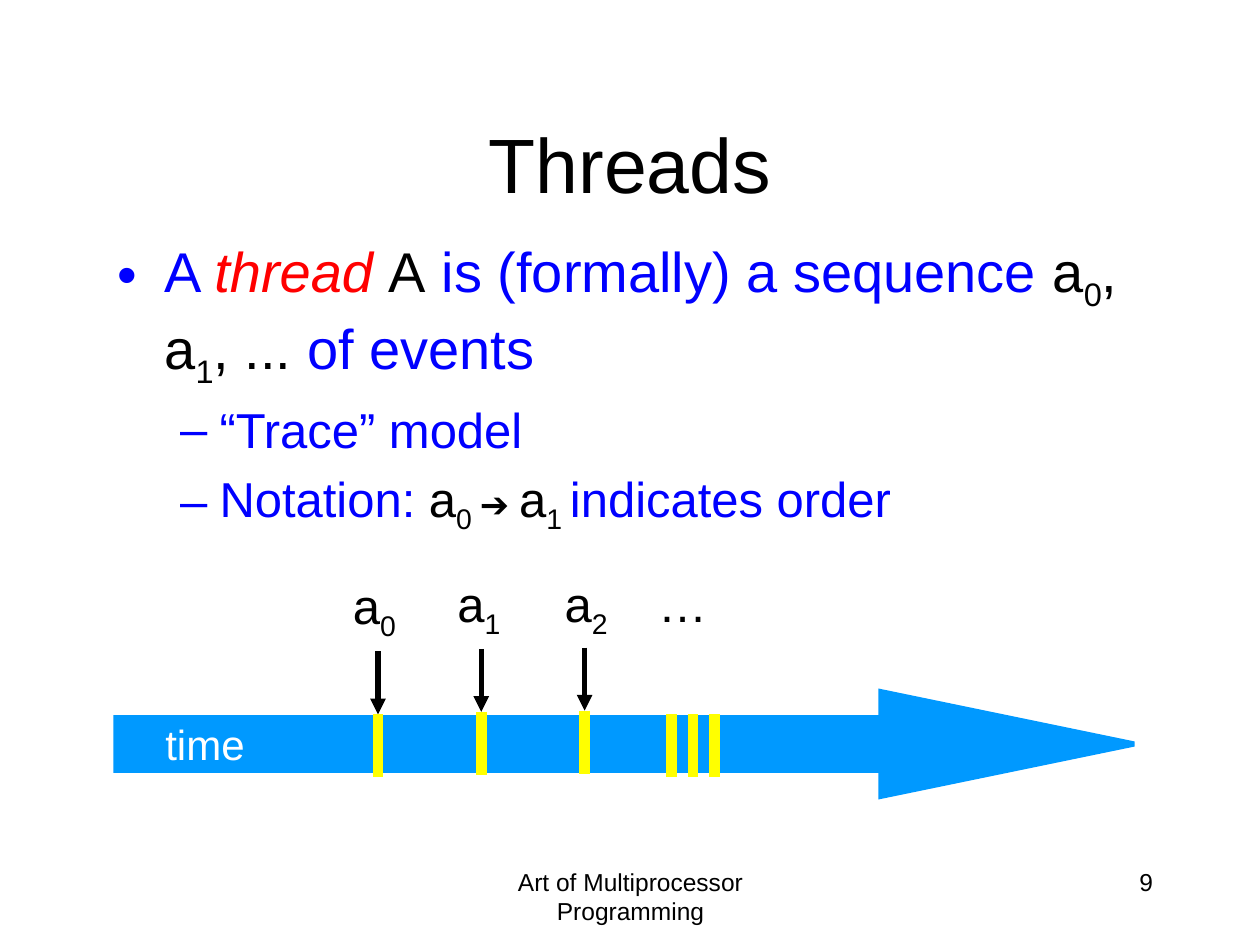
from dataclasses import dataclass
from typing import NamedTuple

from pptx import Presentation
from pptx.dml.color import RGBColor as Rgb
from pptx.enum.shapes import MSO_CONNECTOR as Conn, MSO_SHAPE as Kind
from pptx.enum.text import MSO_ANCHOR as Anchor, MSO_AUTO_SIZE as Fit, PP_ALIGN as Align
from pptx.oxml.ns import qn
from pptx.util import Inches, Pt
from lxml.etree import SubElement


@dataclass(frozen=True)
class Theme:
    font: str = "Arial"
    ink: Rgb = Rgb(0, 0, 0)
    blue: Rgb = Rgb(0, 0, 0xFF)
    red: Rgb = Rgb(0xFF, 0, 0)
    sky: Rgb = Rgb(0, 0x99, 0xFF)
    mark: Rgb = Rgb(0xFF, 0xFF, 0)
    white: Rgb = Rgb(0xFF, 0xFF, 0xFF)
    title: int = 44
    body: int = 32
    sub: int = 28
    time: int = 24
    small: int = 20
    foot: int = 14


class Part(NamedTuple):
    text: str
    color: Rgb | None = None
    low: bool = False
    slant: bool = False
    size: int | None = None


class Box(NamedTuple):
    left: float
    top: float
    width: float
    height: float

    def place(self) -> list[int]:
        return [Inches(n) for n in self]


class Event(NamedTuple):
    sub: str
    x: float
    top: float
    label: Box


T = Theme()
STEP = 0.5
EVENTS = [
    Event("0", 3, 5.17, Box(2.66, 4.52, 0.58, 0.57)),
    Event("1", 3.82, 5.15, Box(3.5, 4.5, 0.57, 0.57)),
    Event("2", 4.64, 5.14, Box(4.34, 4.5, 0.58, 0.57)),
]
LATER = [5.33, 5.5, 5.67]
BODY = [
    (0, [Part("A "), Part("thread ", T.red, slant=True), Part("A", T.ink),
         Part(" is (formally) a sequence "), Part("a", T.ink),
         Part("0", T.ink, low=True), Part(", a", T.ink), Part("1", T.ink, low=True),
         Part(", ... ", T.ink), Part("of events")]),
    (1, [Part("“Trace” model")]),
    (1, [Part("Notation: "), Part("a", T.ink), Part("0 ", T.ink, low=True),
         Part("➔ ", T.ink, size=T.small), Part("a", T.ink),
         Part("1 ", T.ink, low=True), Part("indicates order")]),
]


def write(para, parts: list[Part], size: int, color: Rgb) -> None:
    """Fill a paragraph; parts override its size and colour."""
    font = para.font
    font.name, font.size = T.font, Pt(size)
    font.color.rgb = color
    for part in parts:
        run = para.add_run()
        run.text = part.text
        if part.color is not None:
            run.font.color.rgb = part.color
        if part.size:
            run.font.size = Pt(part.size)
        if part.slant:
            run.font.italic = True
        if part.low:
            run.font._element.set("baseline", "-25000")


def add_text(slide, box: Box, parts: list[Part], size: int, align: Align,
             color: Rgb = T.ink, wrap: bool = False) -> None:
    frame = slide.shapes.add_textbox(*box.place()).text_frame
    frame.word_wrap = wrap
    frame.auto_size = Fit.NONE if wrap else Fit.SHAPE_TO_FIT_TEXT
    para = frame.paragraphs[0]
    para.alignment = align
    write(para, parts, size, color)


def add_drop(slide, x: float, top: float, color: Rgb, width: int,
             head: bool = False) -> None:
    """Draw a vertical line one step long."""
    drop = slide.shapes.add_connector(
        Conn.STRAIGHT, Inches(x), Inches(top), Inches(x), Inches(top + STEP))
    drop.line.color.rgb = color
    drop.line.width = Pt(width)
    if head:
        SubElement(drop.line._get_or_add_ln(), qn("a:tailEnd"), type="triangle")
    SubElement(drop._element.spPr, qn("a:effectLst"))


def move(shape, box: Box) -> None:
    shape.left, shape.top, shape.width, shape.height = box.place()


def fill_title(slide) -> None:
    title = slide.shapes.title
    move(title, Box(0.75, 0.67, 8.5, 1.25))
    frame = title.text_frame
    frame.vertical_anchor = Anchor.MIDDLE
    frame.auto_size = Fit.NONE
    para = frame.paragraphs[0]
    para.alignment = Align.CENTER
    write(para, [Part("Threads")], T.title, T.ink)


def fill_body(slide) -> None:
    body = slide.placeholders[1]
    move(body, Box(0.83, 1.83, 8.5, 3.58))
    frame = body.text_frame
    frame.auto_size = Fit.NONE
    for i, (level, parts) in enumerate(BODY):
        para = frame.add_paragraph() if i else frame.paragraphs[0]
        para.level = level
        if not i:
            para.space_before = Pt(0)
        write(para, parts, T.sub if level else T.body, T.blue)


def add_axis(slide) -> None:
    axis = slide.shapes.add_shape(
        Kind.RIGHT_ARROW, *Box(0.92, 5.49, 8.08, 0.83).place())
    axis.adjustments[0], axis.adjustments[1] = 0.5, 2.42
    axis.shadow.inherit = False
    axis.fill.solid()
    axis.fill.fore_color.rgb = T.sky
    axis.line.color.rgb = T.sky
    axis.line.width = Pt(3)
    SubElement(axis.line._get_or_add_ln(), qn("a:miter"), lim="800000")
    add_text(slide, Box(1.2, 5.65, 0.84, 0.51), [Part("time")], T.time,
             Align.RIGHT, T.white)


def add_events(slide) -> None:
    for event in EVENTS:
        add_drop(slide, event.x, event.top, T.ink, 3, head=True)
        add_drop(slide, event.x, event.top + STEP, T.mark, 6)
        add_text(slide, event.label, [Part("a"), Part(event.sub, low=True)],
                 T.sub, Align.RIGHT)
    for x in LATER:
        add_drop(slide, x, 5.67, T.mark, 6)
    add_text(slide, Box(5.12, 4.5, 0.59, 0.57), [Part("…")], T.sub, Align.RIGHT)


def main() -> None:
    deck = Presentation()
    deck.slide_width, deck.slide_height = Inches(10), Inches(7.5)
    slide = deck.slides.add_slide(deck.slide_layouts[1])
    fill_title(slide)
    fill_body(slide)
    add_axis(slide)
    add_events(slide)
    add_text(slide, Box(3.42, 6.83, 3.17, 0.5),
             [Part("Art of Multiprocessor Programming")], T.foot,
             Align.CENTER, wrap=True)
    add_text(slide, Box(7.17, 6.83, 2.08, 0.5), [Part("9")], T.foot,
             Align.RIGHT, wrap=True)
    deck.save("out.pptx")


if __name__ == "__main__":
    main()
